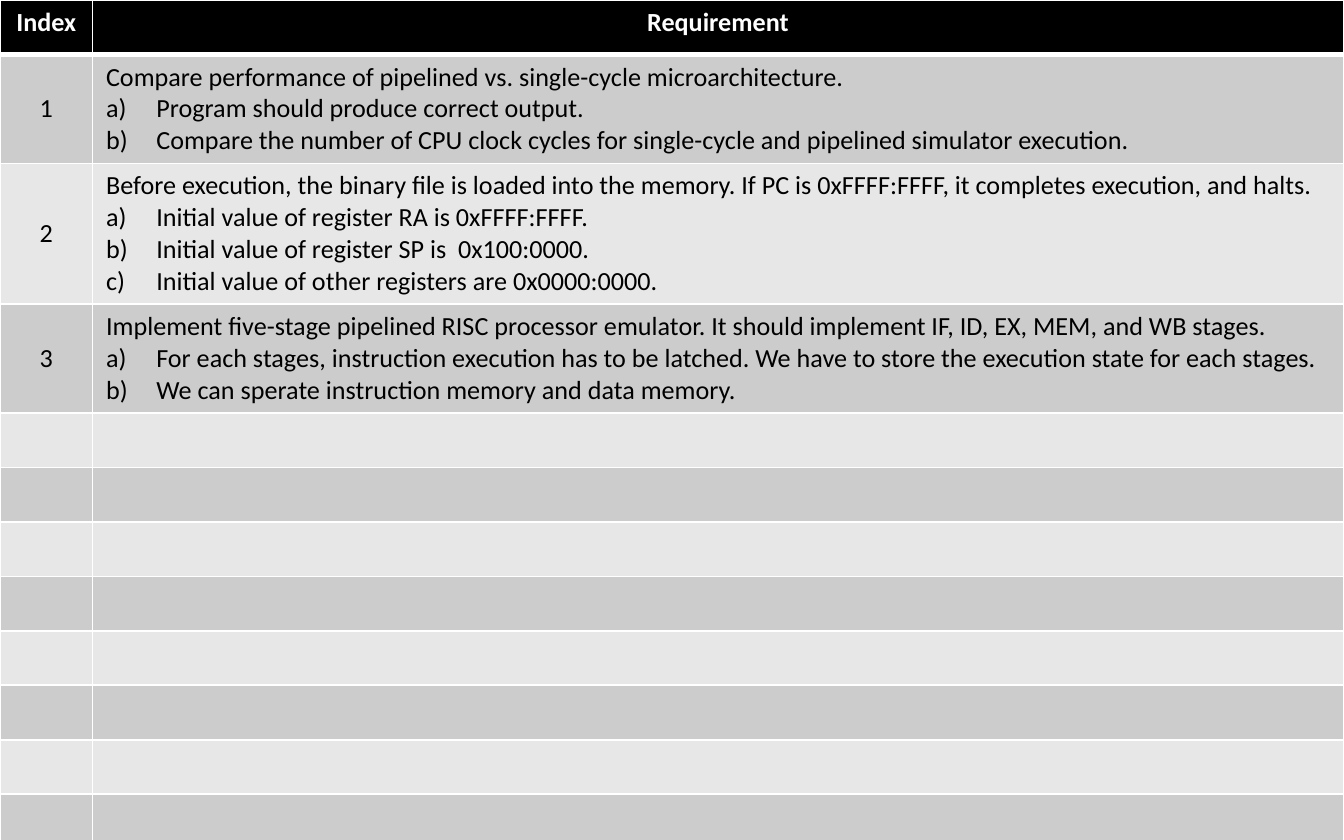
from lxml.etree import SubElement
from pptx import Presentation
from pptx.dml.color import RGBColor
from pptx.enum.text import MSO_ANCHOR as Anchor, PP_ALIGN as Align
from pptx.oxml.ns import qn
from pptx.util import Cm, Pt

COLORS = {"header": "000000", "odd": "CCCCCC", "even": "E7E7E7", "line": "FFFFFF",
          "header_text": "FFFFFF", "text": "000000"}
FONT = "Calibri"
ROW_COUNT = 16
ROW_HEIGHT = 1.03
LINE_HEIGHT = 0.6
CELL_PADDING = 0.25
COLUMN_WIDTHS = (1.75, 23.64)
INDENT = Cm(0.95)
REQUIREMENTS = [
    ("Compare performance of pipelined vs. single-cycle microarchitecture.",
     ["Program should produce correct output.",
      "Compare the number of CPU clock cycles for single-cycle and pipelined simulator execution."]),
    ("Before execution, the binary file is loaded into the memory. "
     "If PC is 0xFFFF:FFFF, it completes execution, and halts.",
     ["Initial value of register RA is 0xFFFF:FFFF.",
      "Initial value of register SP is  0x100:0000.",
      "Initial value of other registers are 0x0000:0000."]),
    ("Implement five-stage pipelined RISC processor emulator. "
     "It should implement IF, ID, EX, MEM, and WB stages.",
     ["For each stages, instruction execution has to be latched. "
      "We have to store the execution state for each stages.",
      "We can sperate instruction memory and data memory."]),
]


def add_border(cell, side, width):
    line = SubElement(cell._tc.get_or_add_tcPr(), qn(f"a:ln{side}"), w=str(Pt(width)))
    fill = SubElement(line, qn("a:solidFill"))
    SubElement(fill, qn("a:srgbClr"), val=COLORS["line"])


def style_cell(cell, row_index):
    for side in "LRTB":
        under_header = (row_index, side) in ((0, "B"), (1, "T"))
        add_border(cell, side, 3 if under_header else 1)
    shade = "header" if row_index == 0 else "odd" if row_index % 2 else "even"
    cell.fill.solid()
    cell.fill.fore_color.rgb = RGBColor.from_string(COLORS[shade])


def write_text(para, text, color="text", bold=False, align=Align.LEFT):
    para.alignment = align
    span = para.add_run()
    span.text = text
    span.font.name = FONT
    span.font.size = Pt(14)
    span.font.bold = bold
    span.font.color.rgb = RGBColor.from_string(COLORS[color])


def number_paragraph(para):
    properties = para._p.get_or_add_pPr()
    properties.set("marL", str(INDENT))
    properties.set("indent", str(-INDENT))
    SubElement(properties, qn("a:buFont"), typeface="+mj-lt")
    SubElement(properties, qn("a:buAutoNum"), type="alphaLcParenR")


def write_requirement(table, index, summary, details):
    table.rows[index].height = Cm(CELL_PADDING + LINE_HEIGHT * (1 + len(details)))
    number_cell, text_cell = table.rows[index].cells
    number_cell.vertical_anchor = Anchor.MIDDLE
    write_text(number_cell.text_frame.paragraphs[0], str(index), align=Align.CENTER)
    write_text(text_cell.text_frame.paragraphs[0], summary)
    for detail in details:
        para = text_cell.text_frame.add_paragraph()
        write_text(para, detail)
        number_paragraph(para)


def add_requirement_table(page):
    frame = page.shapes.add_table(ROW_COUNT, len(COLUMN_WIDTHS), 0, 0,
                                  Cm(sum(COLUMN_WIDTHS)), Cm(ROW_COUNT * ROW_HEIGHT))
    table = frame.table
    for column, width in zip(table.columns, COLUMN_WIDTHS):
        column.width = Cm(width)
    for row_index, row in enumerate(table.rows):
        row.height = Cm(ROW_HEIGHT)
        for cell in row.cells:
            style_cell(cell, row_index)
    for cell, heading in zip(table.rows[0].cells, ("Index", "Requirement")):
        write_text(cell.text_frame.paragraphs[0], heading, "header_text", True, Align.CENTER)
    for index, (summary, details) in enumerate(REQUIREMENTS, start=1):
        write_requirement(table, index, summary, details)


def main():
    deck = Presentation()
    deck.slide_width = Cm(25.4)
    deck.slide_height = Cm(15.88)
    page = deck.slides.add_slide(deck.slide_layouts[6])
    add_requirement_table(page)
    deck.save("out.pptx")


if __name__ == "__main__":
    main()
